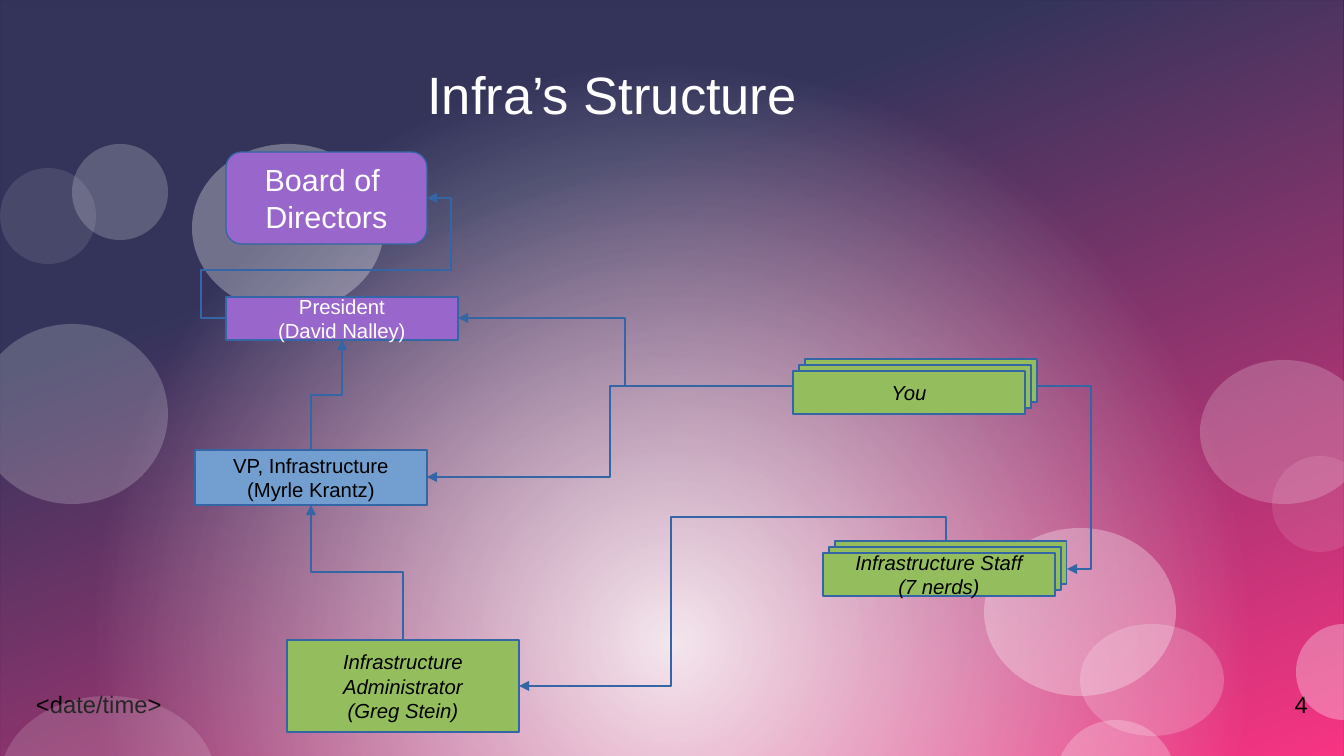
import pptx
import pptx.util
import pptx.dml.color
import pptx.enum.shapes
import pptx.enum.text
import pptx.oxml
import pptx.oxml.ns
import lxml.etree

EMU_PER_PX = 914400 / 122
PAGE_WIDTH, PAGE_HEIGHT = 1344, 756
COLORS = {
    "night": "000032", "pink": "F60063", "white": "FFFFFF", "black": "000000",
    "outline": "3465A4", "purple": "9966CC", "blue": "729FCF", "green": "94BD5E",
}
BUBBLES = [
    (192, 144, 192, 168, 30), (984, 528, 192, 168, 30), (1200, 360, 168, 144, 20),
    (-24, 324, 192, 180, 20), (72, 144, 96, 96, 20), (0, 168, 96, 96, 10),
    (0, 696, 216, 168, 15), (1296, 624, 96, 96, 30), (1272, 456, 96, 96, 10),
    (1080, 624, 144, 112, 20), (1056, 720, 120, 120, 25),
]
ROUTES = [
    ((311, 450), (342, 340), [395], True),
    ((403, 640), (311, 505), [572], True),
    ((946, 541), (519, 686), [517, 671], True),
    ((226, 318), (427, 198), [201, 270, 451], False),
    ((1037, 386), (1067, 569), [1091], False),
    ((793, 386), (427, 477), [610], False),
    ((793, 386), (458, 318), [625], False),
]
SHAPES = pptx.enum.shapes.MSO_SHAPE
ALIGN = pptx.enum.text.PP_ALIGN
ANCHOR = pptx.enum.text.MSO_ANCHOR


def px(*lengths):
    return [pptx.util.Emu(round(length * EMU_PER_PX)) for length in lengths]


def rgb(name):
    return pptx.dml.color.RGBColor.from_string(COLORS[name])


def add_element(parent, tag, **attributes):
    element = lxml.etree.SubElement(parent, pptx.oxml.ns.qn(tag))
    for name, value in attributes.items():
        element.set(name, str(value))
    return element


def write_text(frame, lines, size, color="white", italic=False,
               align=ALIGN.CENTER, anchor=ANCHOR.MIDDLE, margins=(12, 6, 12, 6)):
    frame.word_wrap = True
    frame.auto_size = pptx.enum.text.MSO_AUTO_SIZE.NONE
    frame.vertical_anchor = anchor
    (frame.margin_left, frame.margin_top,
     frame.margin_right, frame.margin_bottom) = px(*margins)
    for index, line in enumerate(lines):
        para = frame.add_paragraph() if index else frame.paragraphs[0]
        para.alignment = align
        span = para.add_run()
        span.text = line
        span.font.name = "Arial"
        span.font.size = pptx.util.Pt(size)
        span.font.italic = italic
        span.font.color.rgb = rgb(color)


def add_plain_shape(shapes, kind, area, fill):
    shape = shapes.add_shape(kind, *px(*area))
    shape.shadow.inherit = False
    shape.fill.solid()
    shape.fill.fore_color.rgb = rgb(fill)
    shape.line.fill.background()
    return shape


def add_gradient(page, stops, angle=None, focus=None):
    shape = add_plain_shape(page.shapes, SHAPES.RECTANGLE,
                            (0, 0, PAGE_WIDTH, PAGE_HEIGHT), "white")
    gradient = pptx.oxml.parse_xml(
        f'<a:gradFill {pptx.oxml.ns.nsdecls("a")} rotWithShape="1"/>')
    stop_list = add_element(gradient, "a:gsLst")
    for position, color, opacity in stops:
        stop = add_element(stop_list, "a:gs", pos=position * 1000)
        tint = add_element(stop, "a:srgbClr", val=COLORS[color])
        if opacity < 100:
            add_element(tint, "a:alpha", val=opacity * 1000)
    if focus:
        circle = add_element(gradient, "a:path", path="circle")
        add_element(circle, "a:fillToRect",
                    **{side: share * 1000 for side, share in zip("ltrb", focus)})
    else:
        add_element(gradient, "a:lin", ang=angle * 60000, scaled=0)
    properties = shape.element.spPr
    properties.replace(properties.find(pptx.oxml.ns.qn("a:solidFill")), gradient)


def add_bubble(page, left, top, width, height, opacity):
    bubble = add_plain_shape(page.shapes, SHAPES.OVAL, (left, top, width, height), "white")
    tint = bubble.element.spPr.find(".//" + pptx.oxml.ns.qn("a:srgbClr"))
    add_element(tint, "a:alpha", val=opacity * 1000)


def add_footer(page, text, left, align):
    box = page.shapes.add_textbox(*px(left, 684, 312, 52))
    write_text(box.text_frame, [text], 14, color="black", align=align, anchor=ANCHOR.TOP)


def add_role(shapes, area, fill, lines=(), kind=SHAPES.RECTANGLE, **text_format):
    box = add_plain_shape(shapes, kind, area, fill)
    box.line.color.rgb = rgb("outline")
    box.line.width = pptx.util.Pt(0)
    if lines:
        write_text(box.text_frame, lines, **text_format)


def add_role_stack(page, left, top, lines):
    stack = page.shapes.add_group_shape()
    for shift in (12, 6, 0):
        add_role(stack.shapes, (left + shift, top - shift, 232, 43), "green",
                 () if shift else lines, size=12, color="black", italic=True)


def add_route(page, start, end, bends, vertical):
    main_axis = 1 if vertical else 0
    shares = []
    for index, bend in enumerate(bends):
        axis = (main_axis + index) % 2
        shares.append((bend - start[axis]) / (end[axis] - start[axis]))
    if vertical:
        center_x, center_y = (start[0] + end[0]) / 2, (start[1] + end[1]) / 2
        half_x, half_y = (end[1] - start[1]) / 2, (start[0] - end[0]) / 2
        start = center_x - half_x, center_y - half_y
        end = center_x + half_x, center_y + half_y
    route = page.shapes.add_connector(
        pptx.enum.shapes.MSO_CONNECTOR.ELBOW, *px(*start, *end))
    route.line.color.rgb = rgb("outline")
    route.line.width = pptx.util.Pt(1.5)
    properties = route.element.spPr
    if vertical:
        properties.find(pptx.oxml.ns.qn("a:xfrm")).set("rot", "5400000")
    geometry = properties.find(pptx.oxml.ns.qn("a:prstGeom"))
    geometry.set("prst", f"bentConnector{len(bends) + 2}")
    guides = geometry.find(pptx.oxml.ns.qn("a:avLst"))
    for number, share in enumerate(shares, 1):
        add_element(guides, "a:gd", name=f"adj{number}", fmla=f"val {round(share * 100000)}")
    add_element(properties.find(pptx.oxml.ns.qn("a:ln")), "a:tailEnd", type="triangle")
    add_element(properties, "a:effectLst")


def add_title(page, text):
    title = page.shapes.title
    title.left, title.top, title.width, title.height = px(67, 30, 1210, 127)
    write_text(title.text_frame, [text], 31, margins=(0, 0, 120, 0))
    title.element.getparent().append(title.element)


def main():
    deck = pptx.Presentation()
    deck.slide_width, deck.slide_height = px(PAGE_WIDTH, PAGE_HEIGHT)
    page = deck.slides.add_slide(deck.slide_layouts.get_by_name("Title Only"))

    add_gradient(page, [(30, "night", 100), (100, "pink", 100)], angle=70)
    add_gradient(page, [(0, "white", 90), (75, "white", 20)], focus=(50, 85, 50, 15))
    add_footer(page, "<date/time>", 24, ALIGN.LEFT)
    add_footer(page, "4", 1008, ALIGN.RIGHT)
    for bubble in BUBBLES:
        add_bubble(page, *bubble)

    add_title(page, "Infra’s Structure")
    add_role(page.shapes, (226, 152, 201, 92), "purple", ["Board of ", "Directors"],
             kind=SHAPES.ROUNDED_RECTANGLE, size=18)
    add_role(page.shapes, (226, 297, 232, 43), "purple",
             ["President", "(David Nalley)"], size=12)
    add_role(page.shapes, (195, 450, 232, 55), "blue",
             ["VP, Infrastructure", "(Myrle Krantz)"], size=12, color="black")
    add_role(page.shapes, (287, 640, 232, 92), "green",
             ["Infrastructure", "Administrator", "(Greg Stein)"],
             size=12, color="black", italic=True)
    add_role_stack(page, 823, 553, ["Infrastructure Staff", "(7 nerds)"])
    add_role_stack(page, 793, 371, ["You"])
    for route in ROUTES:
        add_route(page, *route)

    deck.save("out.pptx")


if __name__ == "__main__":
    main()
